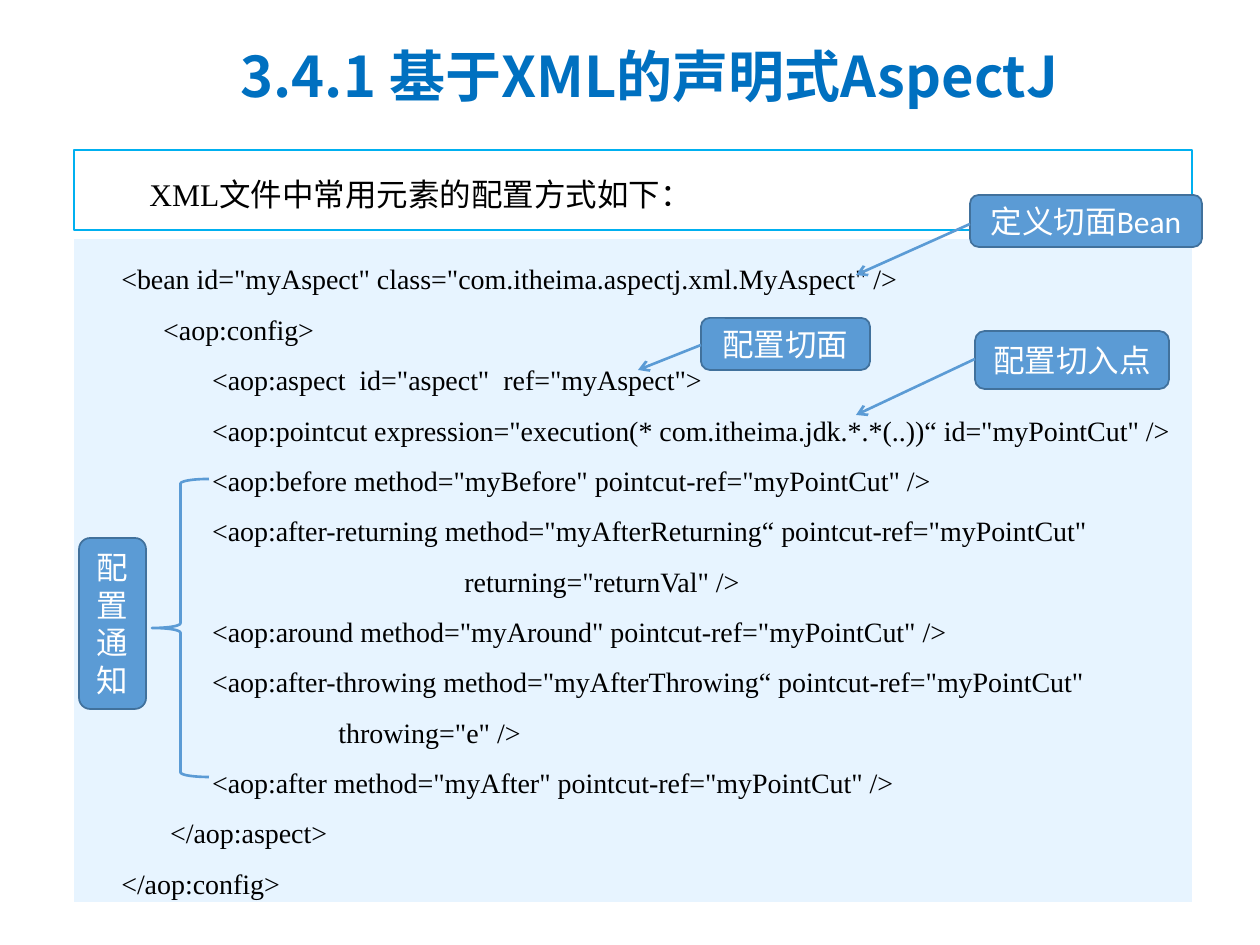
from dataclasses import dataclass

from lxml.etree import SubElement
from pptx import Presentation
from pptx.dml.color import RGBColor as RGB
from pptx.enum.shapes import MSO_CONNECTOR as CONN, MSO_SHAPE as SHAPE
from pptx.enum.text import MSO_ANCHOR as ANCHOR, PP_ALIGN as ALIGN
from pptx.oxml.ns import qn
from pptx.util import Emu, Pt

PX = 914400 / 126


def px(n):
    return Emu(round(n * PX))


@dataclass(frozen=True)
class Theme:
    title: str = "0070C0"
    ink: str = "000000"
    white: str = "FFFFFF"
    frame: str = "00B0F0"
    code_bg: str = "E7F4FF"
    accent: str = "5B9BD5"
    accent_edge: str = "41719C"
    title_size: int = 32
    body_size: int = 18
    code_size: int = 16
    heading_font: str = "Noto Sans CJK SC"
    body_font: str = "Times New Roman"
    label_font: str = "Calibri"


class Deck:
    def __init__(self, theme):
        self.theme = theme
        self.prs = Presentation()
        self.prs.slide_width, self.prs.slide_height = px(1260), px(945)
        self.slide = self.prs.slides.add_slide(self.prs.slide_layouts[5])

    def fill_text(self, sp, lines, anchor, color, para, font):
        tf = sp.text_frame
        tf.word_wrap = True
        tf.vertical_anchor = anchor
        tf.text = "\n".join(lines)
        for p in tf.paragraphs:
            for name, value in para.items():
                setattr(p, name, value)
            for r in p.runs:
                for name, value in font.items():
                    setattr(r.font, name, value)
                r.font.color.rgb = RGB.from_string(color)
                ea = SubElement(r.font._element, qn("a:ea"))
                ea.set("typeface", self.theme.heading_font)

    def title(self, text, box):
        t = self.theme
        sp = self.slide.shapes.title
        sp.left, sp.top, sp.width, sp.height = map(px, box)
        self.fill_text(sp, [text], ANCHOR.TOP, t.title,
                       {"alignment": ALIGN.LEFT, "line_spacing": 0.9},
                       {"name": t.heading_font, "size": Pt(t.title_size), "bold": True})

    def shape(self, kind, box, fill=None, line=None, width=1):
        sp = self.slide.shapes.add_shape(kind, *map(px, box))
        sp.shadow.inherit = False
        if fill:
            sp.fill.solid()
            sp.fill.fore_color.rgb = RGB.from_string(fill)
        else:
            sp.fill.background()
        if line:
            sp.line.color.rgb = RGB.from_string(line)
            sp.line.width = Pt(width)
        else:
            sp.line.fill.background()
        return sp

    def panel(self, lines, box, size, fill, line=None, indent=0):
        t = self.theme
        sp = self.shape(SHAPE.RECTANGLE, box, fill, line, 0.75)
        self.fill_text(sp, lines, ANCHOR.TOP, t.ink,
                       {"alignment": ALIGN.LEFT, "line_spacing": 1.5},
                       {"name": t.body_font, "size": Pt(size)})
        if indent:
            for p in sp.text_frame.paragraphs:
                p._p.get_or_add_pPr().set("indent", str(px(indent)))

    def label(self, text, box):
        t = self.theme
        sp = self.shape(SHAPE.ROUNDED_RECTANGLE, box, t.accent, t.accent_edge)
        self.fill_text(sp, [text], ANCHOR.MIDDLE, t.white, {"alignment": ALIGN.CENTER},
                       {"name": t.label_font, "size": Pt(t.body_size)})

    def arrow(self, start, end):
        cn = self.slide.shapes.add_connector(CONN.STRAIGHT, *map(px, start + end))
        cn.line.color.rgb = RGB.from_string(self.theme.accent)
        cn.line.width = Pt(1.5)
        SubElement(cn.line._get_or_add_ln(), qn("a:tailEnd")).set("type", "arrow")
        SubElement(cn._element.spPr, qn("a:effectLst"))

    def brace(self, box):
        sp = self.shape(SHAPE.LEFT_BRACE, box, line=self.theme.accent, width=1.5)
        sp.adjustments[0] = 0.08


CODE = [
    '     <bean id="myAspect" class="com.itheima.aspectj.xml.MyAspect" />',
    '           <aop:config>',
    '                  <aop:aspect  id="aspect"  ref="myAspect">',
    '                  <aop:pointcut expression="execution(* com.itheima.jdk.*.*(..))“ id="myPointCut" />',
    '                  <aop:before method="myBefore" pointcut-ref="myPointCut" />',
    '                  <aop:after-returning method="myAfterReturning“ pointcut-ref="myPointCut"'
    '\v\t\t\t\t\t\treturning="returnVal" />',
    '                  <aop:around method="myAround" pointcut-ref="myPointCut" />',
    '                  <aop:after-throwing method="myAfterThrowing“ pointcut-ref="myPointCut"'
    '\v\t\t\t\tthrowing="e" />',
    '                  <aop:after method="myAfter" pointcut-ref="myPointCut" />',
    '            </aop:aspect>',
    '     </aop:config>',
]

CALLOUTS = [
    ("定义切面Bean", (970, 195, 232, 52), (970, 224), (856, 275)),
    ("配置切面", (701, 318, 169, 52), (701, 345), (638, 370)),
    ("配置切入点", (975, 331, 194, 58), (975, 359), (856, 415)),
]


def main():
    t = Theme()
    deck = Deck(t)
    deck.panel(["XML文件中常用元素的配置方式如下："], (74, 150, 1118, 80),
               t.body_size, t.white, t.frame, indent=63)
    deck.title("3.4.1 基于XML的声明式AspectJ", (228, 43, 906, 107))
    deck.panel(CODE, (74, 239, 1118, 663), t.code_size, t.code_bg)
    for text, box, start, end in CALLOUTS:
        deck.label(text, box)
        deck.arrow(start, end)
    deck.brace((152, 479, 57, 298))
    deck.label("配置通知", (79, 538, 67, 171))
    deck.prs.save("out.pptx")


if __name__ == "__main__":
    main()
